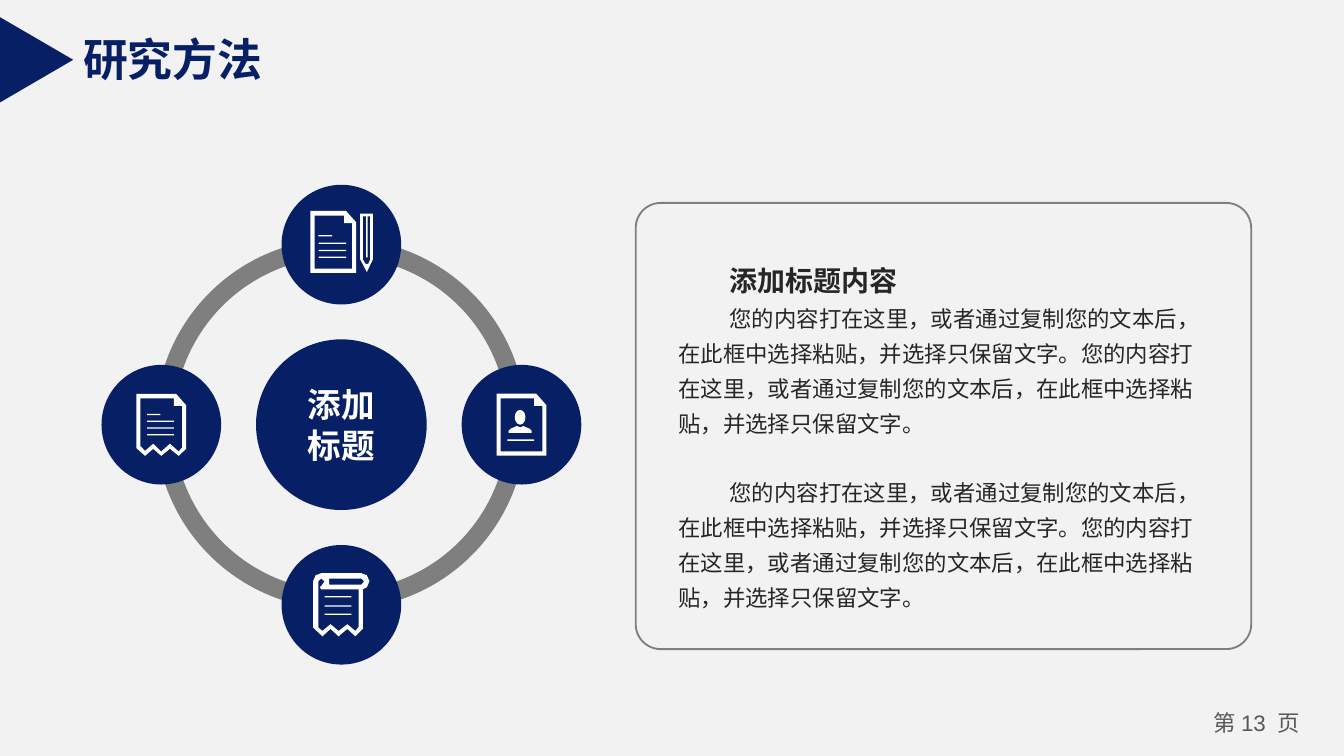
"""Builds the research methods slide."""
from pptx import Presentation
from pptx.dml.color import RGBColor
from pptx.enum import shapes, text
from pptx.util import Inches, Pt

HUE = {"navy": "071F65", "gray": "7F7F7F", "white": "FFFFFF",
       "ink": "262626", "foot": "595959", "back": "F2F2F2"}
KIND = shapes.MSO_SHAPE
SANS = "Noto Sans CJK SC"


class Deck:
    """Holds the style and the current slide."""

    def __init__(self):
        self.prs = Presentation()
        self.prs.slide_width = Inches(10)
        self.prs.slide_height = Inches(10 * 9 / 16)
        self.slide = self.prs.slides.add_slide(self.prs.slide_layouts[6])
        self.tint(self.slide.background.fill, "back")
        self.items = self.slide.shapes

    def tint(self, fill, hue):
        """Fill with a named colour."""
        fill.solid()
        fill.fore_color.rgb = RGBColor.from_string(HUE[hue])

    def paint(self, shape, fill=None, line=None, width=1):
        """Set fill and line, without shadow."""
        shape.shadow.inherit = False
        if fill:
            self.tint(shape.fill, fill)
        else:
            shape.fill.background()
        if line:
            self.tint(shape.line.fill, line)
            shape.line.width = Pt(width)
        else:
            shape.line.fill.background()
        return shape

    def shape(self, kind, x, y, w, h, fill=None, line=None, width=1, adj=()):
        """Add a preset shape."""
        item = self.items.add_shape(kind, *map(Inches, (x, y, w, h)))
        for i, value in enumerate(adj):
            item.adjustments[i] = value
        return self.paint(item, fill, line, width)

    def disc(self, x, y, size):
        """Add a navy circle around a centre."""
        return self.shape(KIND.OVAL, x - size / 2, y - size / 2, size, size, "navy")

    def form(self, mid, *loops):
        """Add white loops, in thousandths of an inch from a centre."""
        first, *rest = loops
        pen = self.items.build_freeform(*first[0], scale=Inches(0.001))
        pen.add_line_segments(first[1:])
        for loop in rest:
            pen.move_to(*loop[0])
            pen.add_line_segments(loop[1:])
        self.paint(pen.convert_to_shape(*map(Inches, mid)), "white")

    def rows(self, mid, x, tops, wide, short=None):
        """Add thin text lines; the short one is listed apart."""
        spans = [(top, wide) for top in tops]
        if short is not None:
            spans.append((short, wide / 2))
        for y, w in spans:
            self.shape(KIND.RECTANGLE, mid[0] + x / 1000, mid[1] + y / 1000,
                       w / 1000, 0.01, "white")

    def page(self, mid, x, y, w, torn=False):
        """Add a sheet with a folded corner."""
        outer = [(0, 0), (w - 75, 0), (w, 85)]
        inner = [(30, 35), (w - 90, 35), (w - 90, 90), (w - 30, 90)]
        if torn:
            outer += [(w, 410), (315, 462), (250, 410), (185, 462),
                      (125, 410), (65, 462), (0, 405)]
            inner += [(340, 400), (315, 430), (250, 372), (185, 430),
                      (125, 372), (65, 425), (30, 390)]
        else:
            outer += [(w, 460), (0, 460)]
            inner += [(w - 30, 430), (30, 430)]
        self.form(mid, *[[(x + a, y + b) for a, b in loop]
                         for loop in (outer, inner)])

    def style(self, run, size, hue, bold=False, font="Arial"):
        """Format a run."""
        run.font.size, run.font.bold, run.font.name = Pt(size), bold, font
        self.tint(run.font.fill, hue)

    def box(self, x, y, w, h, wrap=True):
        """Add a text box and return its frame."""
        frame = self.items.add_textbox(*map(Inches, (x, y, w, h))).text_frame
        frame.word_wrap = wrap
        return frame


def icons(deck, top, right, low, left):
    """Draw the four icons."""
    deck.page(top, -230, -250, 340)
    deck.rows(top, -170, (90, 40, -15), 205, -70)
    deck.form(top, [(140, -230), (235, -230), (235, 110), (190, 205), (140, 110)],
              [(160, 110), (160, -210), (185, -210), (185, 95), (195, 95),
               (195, -210), (215, -210), (215, 110), (200, 145), (180, 145)])
    deck.page(right, -185, -230, 370)
    deck.rows(right, -105, (110,), 200)
    deck.shape(KIND.OVAL, right[0] - 0.05, right[1] - 0.11, 0.08, 0.11, "white")
    deck.form(right, [(-95, 60), (-95, 45), (-80, 30), (-35, 10), (-5, 20),
                      (15, 10), (60, 30), (75, 45), (75, 60)])
    deck.form(low, [(-150, -235), (150, -235), (190, -220), (210, -175),
                    (190, -130), (160, -115), (160, 180), (105, 235), (45, 180),
                    (-20, 235), (-80, 180), (-140, 235), (-210, 170),
                    (-210, -175), (-190, -220)],
              [(-170, 170), (-170, -175), (-150, -195), (-125, -175),
               (-145, -145), (-160, -130), (-150, -115), (130, -115), (130, 165),
               (105, 195), (45, 145), (-20, 195), (-80, 145), (-140, 195)],
              [(-90, -150), (-90, -195), (150, -195), (170, -175), (150, -150)])
    deck.rows(low, -125, (65, 5, -65), 200)
    deck.page(left, -185, -230, 370, True)
    deck.rows(left, -105, (70, 20, -30), 200, -80)


def wheel(deck):
    """Draw the hub, the ring and its four stops."""
    x, y, gap = 2.54, 3.16, 1.34
    hub = deck.disc(x, y, 1.27).text_frame
    hub.text = "添加\n标题"
    hub.vertical_anchor = text.MSO_ANCHOR.MIDDLE
    for para in hub.paragraphs:
        para.alignment = text.PP_ALIGN.CENTER
        deck.style(para.runs[0], 18, "white", True)
    for turn in (108, 54, 0, 162):
        deck.shape(KIND.BLOCK_ARC, 1.16, 1.78, 2.75, 2.75, "gray", "gray", 0.75,
                   (turn, (turn + 54) % 216, 0.046))
    stops = [(x, y - gap), (x + gap, y), (x, y + gap), (x - gap, y)]
    for stop in stops:
        deck.disc(*stop, 0.89)
    icons(deck, *stops)


def panel(deck):
    """Draw the framed text."""
    deck.shape(KIND.ROUNDED_RECTANGLE, 4.73, 1.51, 4.58, 3.32, None, "gray", 1,
               (0.056,))
    body = "您的内容打在这里，或者通过复制您的文本后，在此框中选择粘贴，并选择只保留文字。" * 2
    frame = deck.box(4.95, 1.66, 4.15, 3.04)
    frame.text = "\n".join(("添加标题内容", body, body))
    looks = ((15, True, 2, 0), (12, False, 1.3, 0), (12, False, 1.3, 18.75))
    for para, (size, bold, pitch, gap) in zip(frame.paragraphs, looks):
        para.line_spacing, para.space_before = pitch, Pt(gap)
        para._p.get_or_add_pPr().set("indent", str(Inches(0.38)))
        deck.style(para.runs[0], size, "ink", bold, SANS)


def number(deck):
    """Write the page number."""
    frame = deck.box(8.9, 5.24, 0.9, 0.3)
    frame.margin_left = frame.margin_right = Inches(0.07)
    frame.margin_top = frame.margin_bottom = Inches(0.04)
    para = frame.paragraphs[0]
    para.alignment = text.PP_ALIGN.CENTER
    for part, font in (("第 ", SANS), ("13 ", "Arial"), (" 页", SANS)):
        run = para.add_run()
        run.text = part
        deck.style(run, 12, "foot", False, font)


def main():
    """Build and save the slide."""
    deck = Deck()
    number(deck)
    wheel(deck)
    panel(deck)
    title = deck.box(0.52, 0.19, 1.55, 0.5, False)
    title.text = "研究方法"
    deck.style(title.paragraphs[0].runs[0], 24, "navy", True)
    mark = deck.shape(KIND.ISOSCELES_TRIANGLE, -0.05, 0.17, 0.64, 0.55, "navy")
    mark.rotation = 90
    deck.prs.save("out.pptx")


if __name__ == "__main__":
    main()
